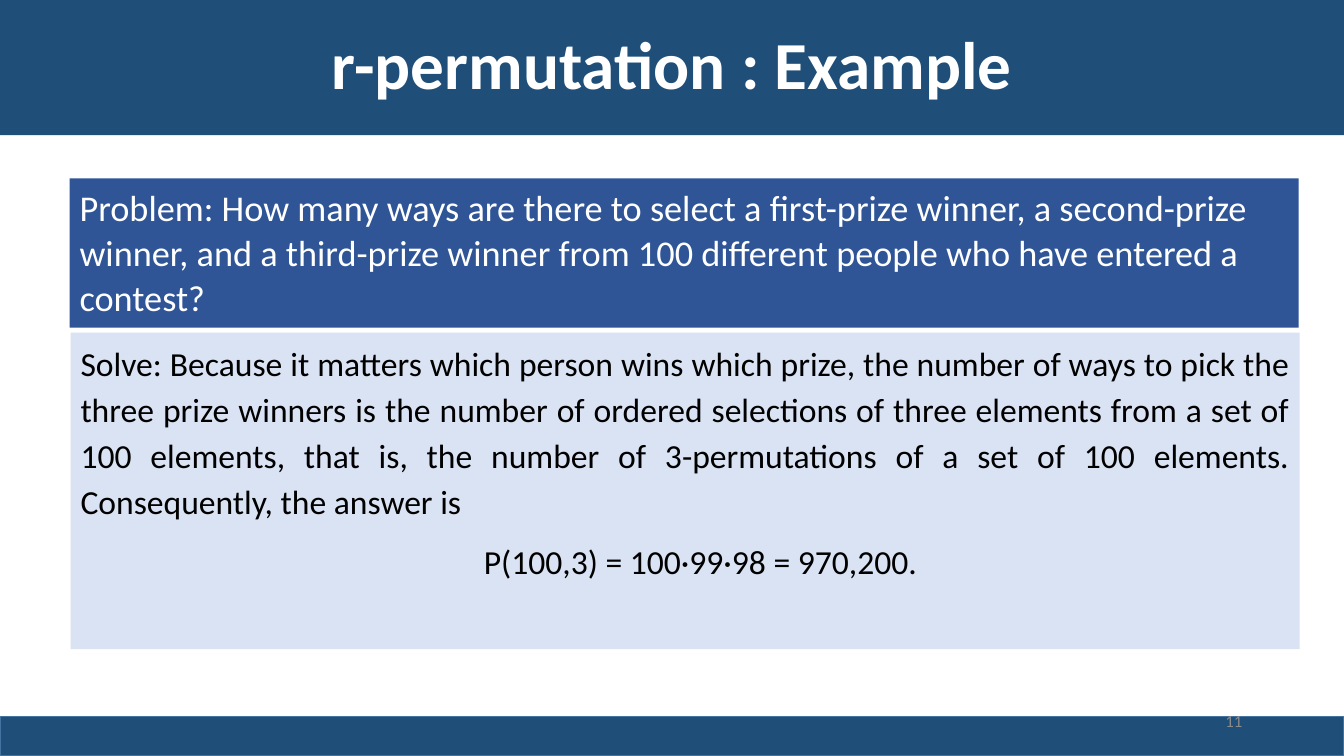
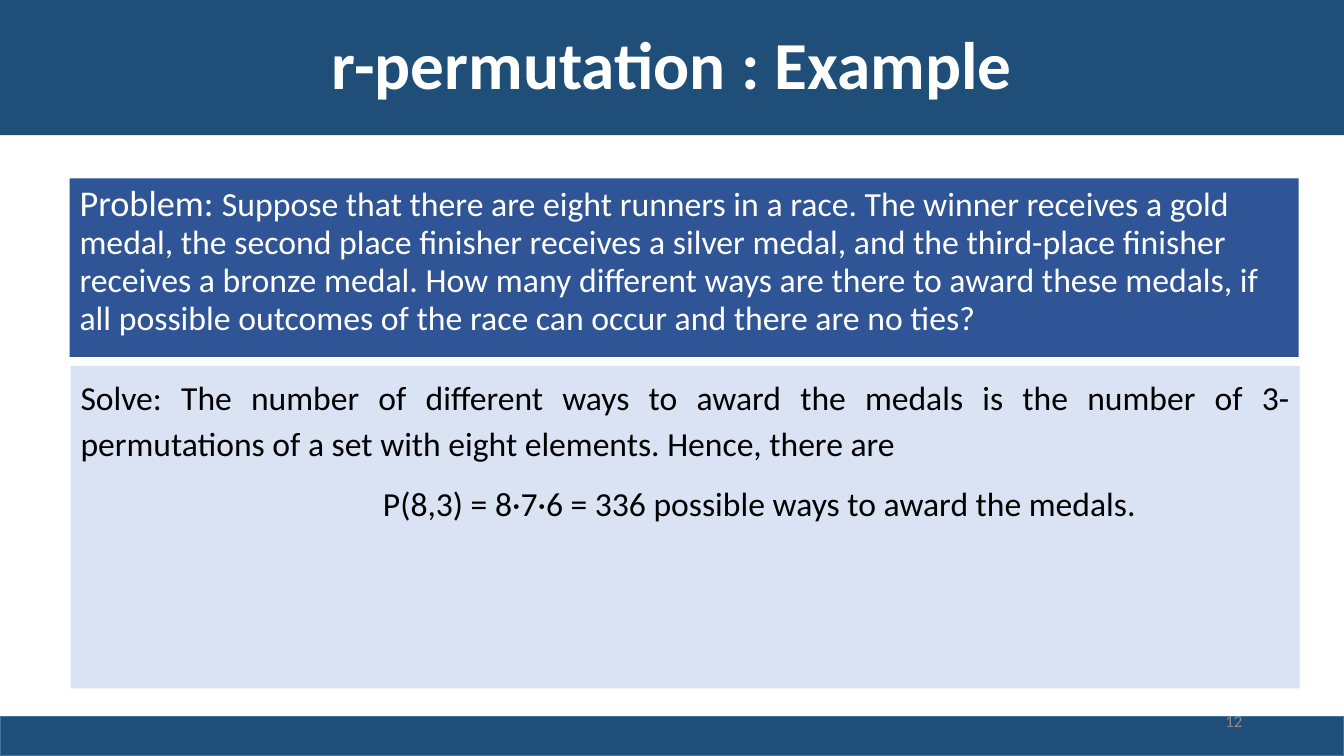
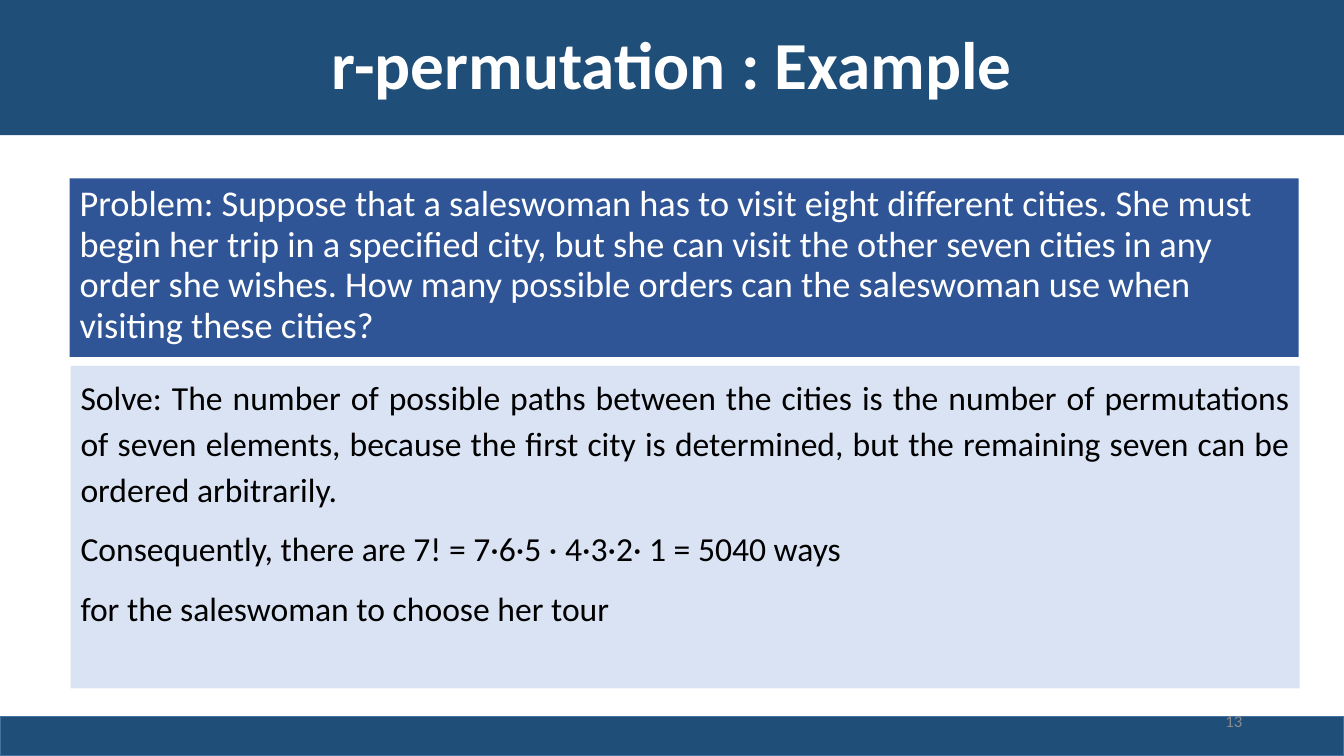
"""Build three worked examples on r-permutations."""
from pptx import Presentation
from pptx.dml.color import RGBColor
from pptx.enum.shapes import MSO_SHAPE
from pptx.enum.text import MSO_ANCHOR, PP_ALIGN
from pptx.util import Inches, Pt

NAVY, EDGE, BLUE, PALE = "1F4E79", "43739E", "2F5597", "DAE3F3"
WHITE, BLACK, GREY = "FFFFFF", "000000", "8C8C8C"
FONT = "Calibri"

prs = Presentation()
prs.slide_width, prs.slide_height = Inches(13.33), Inches(7.5)


def paint(fmt, color):
    fmt.rgb = RGBColor.from_string(color)


def add_box(s, at, fill=None, line=None, paras=(), color=BLACK, size=24,
            bold=False, anchor=MSO_ANCHOR.TOP, **para):
    """Place a box by percent of the slide and write (indent, runs) paragraphs."""
    x, y, w, h = (int(side * part / 100) for side, part in zip(
        (prs.slide_width, prs.slide_height) * 2, at))
    if fill:
        sp = s.shapes.add_shape(MSO_SHAPE.RECTANGLE, x, y, w, h)
        sp.shadow.inherit = False
        sp.fill.solid()
        paint(sp.fill.fore_color, fill)
    else:
        sp = s.shapes.add_textbox(x, y, w, h)
    if line:
        sp.line.width = Pt(1)
        paint(sp.line.color, line)
    else:
        sp.line.fill.background()
    tf = sp.text_frame
    tf.word_wrap, tf.vertical_anchor = True, anchor
    for i, (indent, runs) in enumerate(paras):
        p = tf.add_paragraph() if i else tf.paragraphs[0]
        if indent:
            p._p.get_or_add_pPr().set("marL", str(Inches(indent)))
        for key, value in {"space_before": Pt(10 if i else 0), **para}.items():
            setattr(p, key, value)
        for text, *own in runs:
            r = p.add_run()
            r.text = text
            font = {"name": FONT, "size": Pt(own[0] if own else size), "bold": bold}
            for key, value in font.items():
                setattr(r.font, key, value)
            paint(r.font.color, color)


SHORT = {"problem": 19.73, "solve": 44, "height": 41.87, "spacing": 1.04}
TALL = {"problem": 23.6, "solve": 48.4, "height": 42.67, "spacing": 0.94}

examples = [
    (SHORT,
     [("Problem: How many ways are there to select a first-prize winner, a "
       "second-prize winner, and a third-prize winner from 100 different people "
       "who have entered a contest?",)],
     [(0, "Solve: Because it matters which person wins which prize, the number of "
          "ways to pick the three prize winners is the number of ordered selections "
          "of three elements from a set of 100 elements, that is, the number of "
          "3-permutations of a set of 100 elements. Consequently, the answer is"),
      (4, "P(100,3) = 100·99·98 = 970,200.")]),
    (TALL,
     [("Problem: ",),
      ("Suppose that there are eight runners in a race. The winner receives a gold "
       "medal, the second place finisher receives a silver medal, and the "
       "third-place finisher receives a bronze medal. How many different ways are "
       "there to award these medals, if all possible outcomes of the race can occur "
       "and there are no ties?", 24.1)],
     [(0, "Solve: The number of different ways to award the medals is the number of "
          "3-permutations of a set with eight elements. Hence, there are"),
      (3, "P(8,3) = 8·7·6 = 336 possible ways to award the medals.")]),
    (TALL,
     [("Problem: Suppose that a saleswoman has to visit eight different cities. She "
       "must begin her trip in a specified city, but she can visit the other seven "
       "cities in any order she wishes. How many possible orders can the saleswoman "
       "use when visiting these cities?",)],
     [(0, "Solve: The number of possible paths between the cities is the number of "
          "permutations of seven elements, because the first city is determined, but "
          "the remaining seven can be ordered arbitrarily."),
      (0, "Consequently, there are 7! = 7·6·5 · 4·3·2· 1 = 5040 ways"),
      (0, "for the saleswoman to choose her tour")]),
]

for number, (rows, problem, solution) in enumerate(examples, 11):
    s = prs.slides.add_slide(prs.slide_layouts[6])
    add_box(s, (0, 0, 100, 17.87), NAVY, paras=[(0, [("r-permutation : Example",)])],
            color=WHITE, size=48, bold=True, anchor=MSO_ANCHOR.MIDDLE,
            alignment=PP_ALIGN.CENTER, line_spacing=0.9)
    add_box(s, (0, 94.8, 100, 5.2), NAVY, EDGE)
    add_box(s, (5.18, 23.6, 91.45, rows["problem"]), BLUE, paras=[(0, problem)],
            color=WHITE, size=25.9, alignment=PP_ALIGN.LEFT,
            line_spacing=rows["spacing"])
    add_box(s, (5.25, rows["solve"], 91.45, rows["height"]), PALE,
            paras=[(indent, [(text,)]) for indent, text in solution],
            alignment=PP_ALIGN.JUSTIFY, line_spacing=1.14)
    add_box(s, (70.67, 92.67, 22.5, 5.33), paras=[(0, [(str(number),)])],
            color=GREY, size=12, anchor=MSO_ANCHOR.MIDDLE, alignment=PP_ALIGN.RIGHT)

prs.save("out.pptx")
